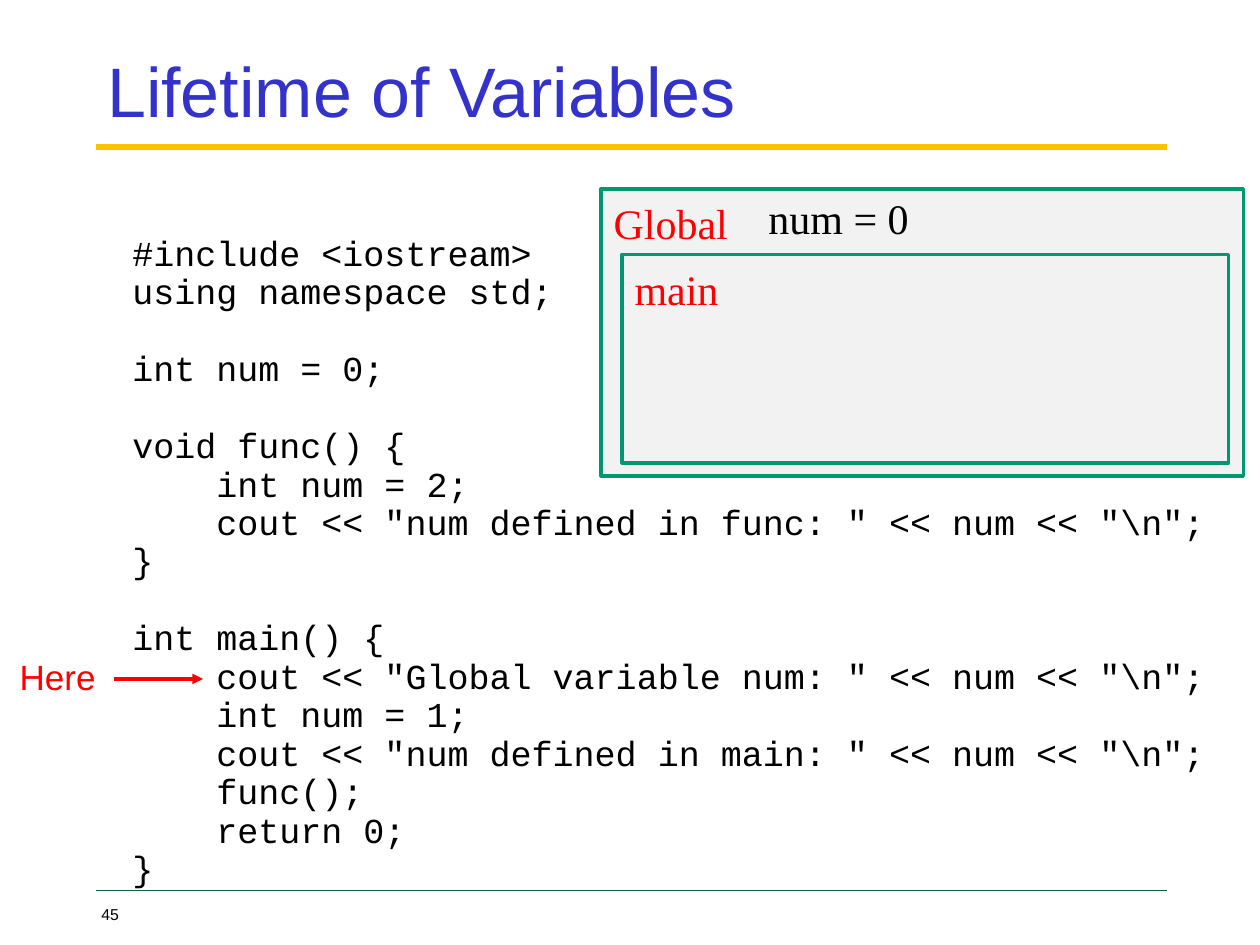
from pptx import Presentation
from pptx.dml.color import RGBColor
from pptx.enum.shapes import MSO_CONNECTOR, MSO_SHAPE
from pptx.enum.text import MSO_ANCHOR as Anchor, PP_ALIGN as Align
from pptx.oxml.ns import qn
from pptx.util import Pt
from lxml import etree


def color(value):
    return RGBColor.from_string(value)


def write(shape, lines, font_name, size, font_color, align=Align.LEFT,
          anchor=Anchor.TOP, wrap=True, line_height=None):
    frame = shape.text_frame
    frame.word_wrap = wrap
    frame.vertical_anchor = anchor
    paragraph = frame.paragraphs[0]
    gap = 0
    for line in lines:
        if not line:
            gap = line_height
            continue
        if paragraph.text:
            paragraph = frame.add_paragraph()
        paragraph.text = line
        paragraph.alignment = align
        paragraph.space_before = Pt(gap)
        if line_height:
            paragraph.line_spacing = Pt(line_height)
        paragraph.font.name = font_name
        paragraph.font.size = Pt(size)
        paragraph.font.color.rgb = color(font_color)
        gap = 0


CODE = r'''#include <iostream>
using namespace std;

int num = 0;

void func() {
    int num = 2;
    cout << "num defined in func: " << num << "\n";
}

int main() {
    cout << "Global variable num: " << num << "\n";
    int num = 1;
    cout << "num defined in main: " << num << "\n";
    func();
    return 0;
}'''

presentation = Presentation()
presentation.slide_width = Pt(720)
presentation.slide_height = Pt(540)
slide = presentation.slides.add_slide(presentation.slide_layouts[5])
shapes = slide.shapes

title = shapes.title
title.left, title.top, title.width, title.height = Pt(54), Pt(24), Pt(612), Pt(54)
write(title, ["Lifetime of Variables"], "Arial", 40, "3333CC", anchor=Anchor.MIDDLE)

for left, right, y, line_color, width, arrow in [
    (55, 667, 84, "FFC000", 3, False),
    (55, 667, 509, "00664D", 0.75, False),
    (65, 116, 388, "FF0000", 2, True),
]:
    connector = shapes.add_connector(MSO_CONNECTOR.STRAIGHT, Pt(left), Pt(y), Pt(right), Pt(y))
    connector.line.color.rgb = color(line_color)
    connector.line.width = Pt(width)
    if arrow:
        etree.SubElement(connector.line._get_or_add_ln(), qn("a:tailEnd"), type="triangle")
    etree.SubElement(connector._element.spPr, qn("a:effectLst"))

page_number = shapes.add_textbox(Pt(54), Pt(516), Pt(18), Pt(12))
frame = page_number.text_frame
frame.margin_left = frame.margin_right = frame.margin_top = frame.margin_bottom = 0
write(page_number, ["45"], "Arial", 9, "000000", Align.CENTER, Anchor.BOTTOM)

code_box = shapes.add_textbox(Pt(68.5), Pt(130.5), Pt(643), Pt(385))
write(code_box, CODE.split("\n"), "Courier New", 20, "000000", line_height=22)

here_label = shapes.add_textbox(Pt(0), Pt(371), Pt(66), Pt(31.5))
write(here_label, ["Here"], "Arial", 20, "FF0000", Align.CENTER)

for scope, left, top, width, height in [
    ("Global", 343.5, 108, 367, 164),
    ("main", 355.5, 145.5, 346.5, 119),
]:
    scope_box = shapes.add_shape(MSO_SHAPE.RECTANGLE, Pt(left), Pt(top), Pt(width), Pt(height))
    scope_box.shadow.inherit = False
    scope_box.fill.solid()
    scope_box.fill.fore_color.rgb = color("F2F2F2")
    scope_box.line.color.rgb = color("009771")
    scope_box.line.width = Pt(2)
    scope_label = shapes.add_textbox(Pt(left), Pt(top + 1.5), Pt(184), Pt(36))
    write(scope_label, [scope], "Times New Roman", 24, "FF0000")

variable_label = shapes.add_textbox(Pt(432), Pt(106.5), Pt(96), Pt(36))
write(variable_label, ["num = 0"], "Times New Roman", 24, "000000", wrap=False)

presentation.save("out.pptx")
